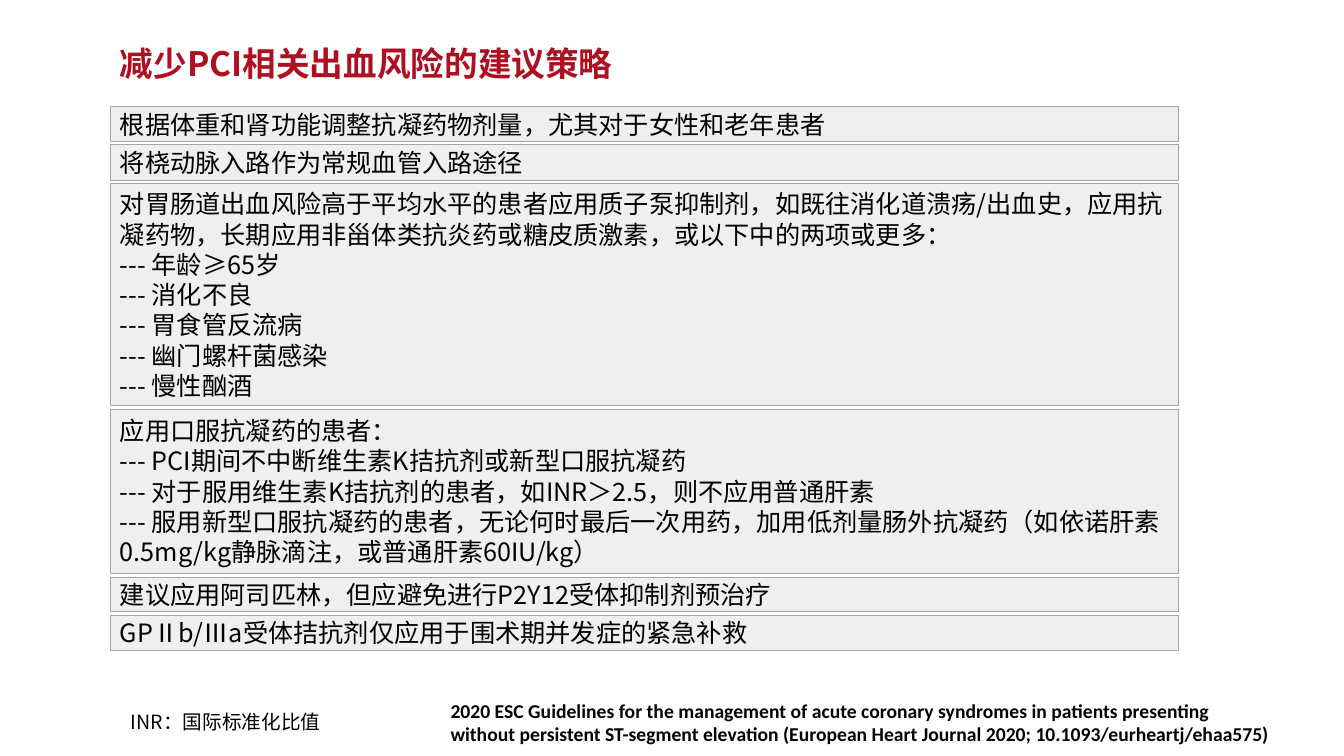
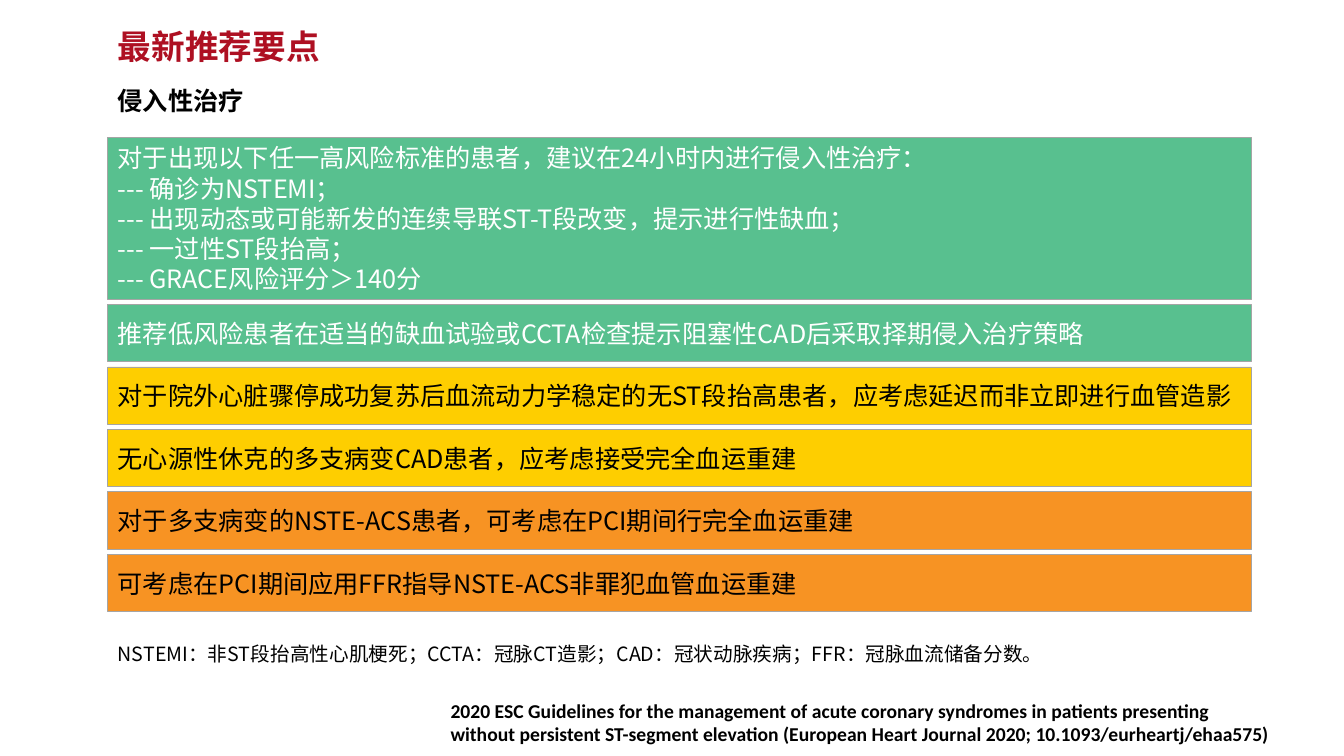
import pptx
import pptx.dml.color
import pptx.enum.shapes
import pptx.enum.text
import pptx.oxml.ns
import pptx.util
from lxml import etree

Inches = pptx.util.Inches
Anchor = pptx.enum.text.MSO_ANCHOR

COLORS = {
    "title": "AE1022",
    "text": "000000",
    "white": "FFFFFF",
    "border": "A5A5A5",
    "gray": "EFEFEF",
    "green": "58C08F",
    "yellow": "FECE00",
    "orange": "F79323",
}
CHINESE_FONT = "Noto Sans CJK SC"
LATIN_FONT = "Calibri"

# Text styles shared by both slides
STYLES = {
    "title": {"size": 24, "bold": True, "name": CHINESE_FONT},
    "subtitle": {"size": 18, "bold": True, "name": CHINESE_FONT},
    "body": {"size": 18, "bold": False, "name": CHINESE_FONT},
    "note": {"size": 14, "bold": False, "name": CHINESE_FONT},
    "citation": {"size": 14, "bold": True, "name": LATIN_FONT},
}

CITATION = (
    "2020 ESC Guidelines for the management of acute coronary syndromes in patients "
    "presenting without persistent ST-segment elevation "
    "(European Heart Journal 2020; 10.1093/eurheartj/ehaa575)"
)

# Each band: height, fill, text colour, paragraphs
BLEEDING_BANDS = [
    (0.34, "gray", "text", ["根据体重和肾功能调整抗凝药物剂量，尤其对于女性和老年患者"]),
    (0.35, "gray", "text", ["将桡动脉入路作为常规血管入路途径"]),
    (2.2, "gray", "text", [
        "对胃肠道出血风险高于平均水平的患者应用质子泵抑制剂，如既往消化道溃疡/出血史，"
        "应用抗凝药物，长期应用非甾体类抗炎药或糖皮质激素，或以下中的两项或更多：",
        "--- 年龄≥65岁",
        "--- 消化不良",
        "--- 胃食管反流病",
        "--- 幽门螺杆菌感染",
        "--- 慢性酗酒",
    ]),
    (1.63, "gray", "text", [
        "应用口服抗凝药的患者：",
        "--- PCI期间不中断维生素K拮抗剂或新型口服抗凝药",
        "--- 对于服用维生素K拮抗剂的患者，如INR＞2.5，则不应用普通肝素",
        "--- 服用新型口服抗凝药的患者，无论何时最后一次用药，加用低剂量肠外抗凝药"
        "（如依诺肝素0.5mg/kg静脉滴注，或普通肝素60IU/kg）",
    ]),
    (0.34, "gray", "text", ["建议应用阿司匹林，但应避免进行P2Y12受体抑制剂预治疗"]),
    (0.35, "gray", "text", ["GPⅡb/Ⅲa受体拮抗剂仅应用于围术期并发症的紧急补救"]),
]
INVASIVE_BANDS = [
    (1.61, "green", "white", [
        "对于出现以下任一高风险标准的患者，建议在24小时内进行侵入性治疗：",
        "--- 确诊为NSTEMI；",
        "--- 出现动态或可能新发的连续导联ST-T段改变，提示进行性缺血；",
        "--- 一过性ST段抬高；",
        "--- GRACE风险评分＞140分",
    ]),
    (0.57, "green", "white",
     ["推荐低风险患者在适当的缺血试验或CCTA检查提示阻塞性CAD后采取择期侵入治疗策略"]),
    (0.57, "yellow", "text",
     ["对于院外心脏骤停成功复苏后血流动力学稳定的无ST段抬高患者，应考虑延迟而非立即进行血管造影"]),
    (0.57, "yellow", "text", ["无心源性休克的多支病变CAD患者，应考虑接受完全血运重建"]),
    (0.57, "orange", "text", ["对于多支病变的NSTE-ACS患者，可考虑在PCI期间行完全血运重建"]),
    (0.57, "orange", "text", ["可考虑在PCI期间应用FFR指导NSTE-ACS非罪犯血管血运重建"]),
]


def rgb(color):
    return pptx.dml.color.RGBColor.from_string(COLORS[color])


def write_text(box, paragraphs, style, color, anchor=Anchor.MIDDLE):
    """Fill a shape with left-aligned paragraphs in one text style."""
    frame = box.text_frame
    frame_format = {
        "word_wrap": True,
        "auto_size": pptx.enum.text.MSO_AUTO_SIZE.NONE,
        "vertical_anchor": anchor,
        "margin_left": Inches(0.1),
        "margin_right": Inches(0.1),
        "margin_top": Inches(0.05),
        "margin_bottom": Inches(0.05),
    }
    for name, value in frame_format.items():
        setattr(frame, name, value)
    font_format = dict(STYLES[style], size=pptx.util.Pt(STYLES[style]["size"]))
    for index, text in enumerate(paragraphs):
        para = frame.add_paragraph() if index else frame.paragraphs[0]
        para.alignment = pptx.enum.text.PP_ALIGN.LEFT
        span = para.add_run()
        span.text = text
        for name, value in font_format.items():
            setattr(span.font, name, value)
        span.font.color.rgb = rgb(color)
        # East Asian characters take their typeface from a separate element
        east_asian = etree.SubElement(span.font._element, pptx.oxml.ns.qn("a:ea"))
        east_asian.set("typeface", font_format["name"])


def add_box(page, place, paragraphs, style, fill="white", color="text", border=None):
    box = page.shapes.add_shape(
        pptx.enum.shapes.MSO_SHAPE.RECTANGLE, *map(Inches, place))
    box.shadow.inherit = False
    box.fill.solid()
    box.fill.fore_color.rgb = rgb(fill)
    if border:
        box.line.color.rgb = rgb(border)
        box.line.width = pptx.util.Pt(0.5)
    else:
        box.line.fill.background()
    write_text(box, paragraphs, style, color)


def add_bands(page, left, top, width, bottom, bands):
    """Stack bands between top and bottom with equal gaps."""
    gap = (bottom - top - sum(band[0] for band in bands)) / (len(bands) - 1)
    for height, fill, color, paragraphs in bands:
        add_box(page, (left, top, width, height), paragraphs, "body", fill, color, "border")
        top += height + gap


def add_page(deck, title, left, top, width):
    """Add a slide with its red title and the citation at the bottom."""
    page = deck.slides.add_slide(deck.slide_layouts.get_by_name("Title Only"))
    heading = page.shapes.title
    place = {"left": left, "top": top, "width": width, "height": 0.5}
    for name, value in place.items():
        setattr(heading, name, Inches(value))
    write_text(heading, [title], "title", "title", Anchor.TOP)
    add_box(page, (4.37, 6.91, 8.37, 0.51), [CITATION], "citation")
    return page


def main():
    deck = pptx.Presentation()
    deck.slide_width, deck.slide_height = Inches(13.33), Inches(7.5)

    # Strategies against bleeding
    page = add_page(deck, "减少PCI相关出血风险的建议策略", 1.09, 0.38, 7.1)
    add_bands(page, 1.09, 1.06, 10.6, 6.45, BLEEDING_BANDS)
    add_box(page, (1.2, 6.97, 2.24, 0.38), ["INR：国际标准化比值"], "note")

    # Key recommendations, coloured by strength
    page = add_page(deck, "最新推荐要点", 1.07, 0.21, 8.09)
    add_box(page, (1.07, 0.78, 10.23, 0.44), ["侵入性治疗"], "subtitle")
    add_bands(page, 1.07, 1.36, 11.34, 6.07, INVASIVE_BANDS)
    add_box(page, (1.07, 6.31, 10.23, 0.36), [
        "NSTEMI：非ST段抬高性心肌梗死；CCTA：冠脉CT造影；"
        "CAD：冠状动脉疾病；FFR：冠脉血流储备分数。"], "note")

    deck.save("out.pptx")


if __name__ == "__main__":
    main()
